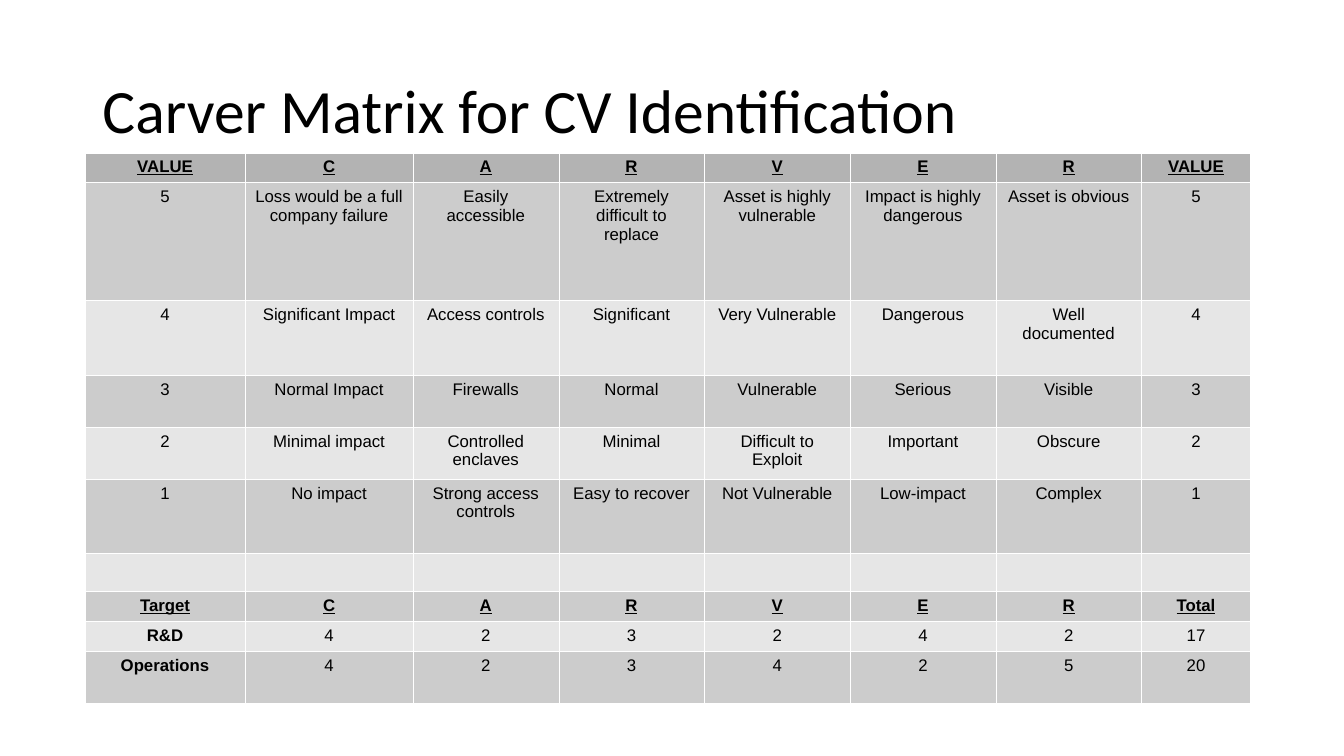
from dataclasses import dataclass
from lxml.etree import SubElement
from pptx import Presentation
from pptx.dml.color import RGBColor
from pptx.enum.text import MSO_ANCHOR, MSO_AUTO_SIZE, PP_ALIGN
from pptx.oxml.ns import qn
from pptx.util import Pt


@dataclass(frozen=True)
class Theme:
    ink: str = "000000"
    header: str = "B3B3B3"
    bands: tuple = ("CCCCCC", "E6E6E6")
    border: str = "FFFFFF"
    border_width: float = 0.06
    title_font: str = "Calibri"
    table_font: str = "Arial"
    title_size: int = 44
    table_size: int = 12


VALUE_ROWS = [
    ["Loss would be a full company failure", "Easily accessible",
     "Extremely difficult to replace", "Asset is highly vulnerable",
     "Impact is highly dangerous", "Asset is obvious"],
    ["Significant Impact", "Access controls", "Significant",
     "Very Vulnerable", "Dangerous", "Well documented"],
    ["Normal Impact", "Firewalls", "Normal", "Vulnerable", "Serious", "Visible"],
    ["Minimal impact", "Controlled enclaves", "Minimal",
     "Difficult to Exploit", "Important", "Obscure"],
    ["No impact", "Strong access controls", "Easy to recover",
     "Not Vulnerable", "Low-impact", "Complex"],
]
TARGET_SCORES = {"R&D": [4, 2, 3, 2, 4, 2], "Operations": [4, 2, 3, 4, 2, 5]}
COLUMN_WIDTHS = [114.6, 119.8] + [104.1] * 5 + [77.8]
ROW_HEIGHTS = [21.4, 84.3, 53.2, 37.1, 37.1, 53.4, 27.2, 21.4, 21.4, 36.9]


def carver_rows():
    letters = list("CARVER")
    values = [[str(value), *texts, str(value)]
              for value, texts in zip(range(5, 0, -1), VALUE_ROWS)]
    targets = [[name, *map(str, scores), str(sum(scores))]
               for name, scores in TARGET_SCORES.items()]
    return [["VALUE", *letters, "VALUE"], *values, [""] * 8,
            ["Target", *letters, "Total"], *targets]


class SlideBuilder:
    def __init__(self, page, theme):
        self.page = page
        self.theme = theme

    def style(self, paragraph, font, size, bold=False, underline=False):
        for span in paragraph.runs:
            span.font.name = font
            span.font.size = Pt(size)
            span.font.bold = bold
            span.font.underline = underline
            span.font.color.rgb = RGBColor.from_string(self.theme.ink)

    def title(self, text, left, top, width, height):
        box = self.page.shapes.title
        box.left, box.top, box.width, box.height = map(Pt, (left, top, width, height))
        frame = box.text_frame
        frame.text = text
        frame.word_wrap = True
        frame.auto_size = MSO_AUTO_SIZE.NONE
        frame.vertical_anchor = MSO_ANCHOR.MIDDLE
        para = frame.paragraphs[0]
        para.alignment = PP_ALIGN.LEFT
        para.line_spacing = 0.9
        self.style(para, self.theme.title_font, self.theme.title_size)

    def borders(self, cell):
        properties = cell._tc.get_or_add_tcPr()
        for side in ("a:lnL", "a:lnR", "a:lnT", "a:lnB"):
            line = SubElement(properties, qn(side), w=str(Pt(self.theme.border_width)))
            fill = SubElement(line, qn("a:solidFill"))
            SubElement(fill, qn("a:srgbClr"), val=self.theme.border)

    def cell(self, cell, text, fill, bold, underline):
        cell.text = text
        self.borders(cell)
        cell.fill.solid()
        cell.fill.fore_color.rgb = RGBColor.from_string(fill)
        para = cell.text_frame.paragraphs[0]
        para.alignment = PP_ALIGN.CENTER
        self.style(para, self.theme.table_font, self.theme.table_size, bold, underline)
        if not text:
            SubElement(para._p, qn("a:endParaRPr"), sz=str(self.theme.table_size * 100))

    def table(self, rows, left, top, widths, heights, heading_rows, bold_names):
        table = self.page.shapes.add_table(
            len(rows), len(widths), Pt(left), Pt(top),
            Pt(sum(widths)), Pt(sum(heights))).table
        for column, width in zip(table.columns, widths):
            column.width = Pt(width)
        for index, (row, height) in enumerate(zip(table.rows, heights)):
            row.height = Pt(height)
            fill = self.theme.bands[(index - 1) % 2] if index else self.theme.header
            heading = index in heading_rows
            for cell, text in zip(row.cells, rows[index]):
                self.cell(cell, text, fill, heading or text in bold_names, heading)


def main():
    deck = Presentation()
    deck.slide_width, deck.slide_height = Pt(960), Pt(540)
    page = deck.slides.add_slide(deck.slide_layouts[5])
    builder = SlideBuilder(page, Theme())
    builder.title("Carver Matrix for CV Identification", 66, 28.75, 828, 104.4)
    builder.table(carver_rows(), 60.6, 109, COLUMN_WIDTHS, ROW_HEIGHTS,
                  heading_rows=(0, 7), bold_names=TARGET_SCORES)
    deck.save("out.pptx")


if __name__ == "__main__":
    main()
